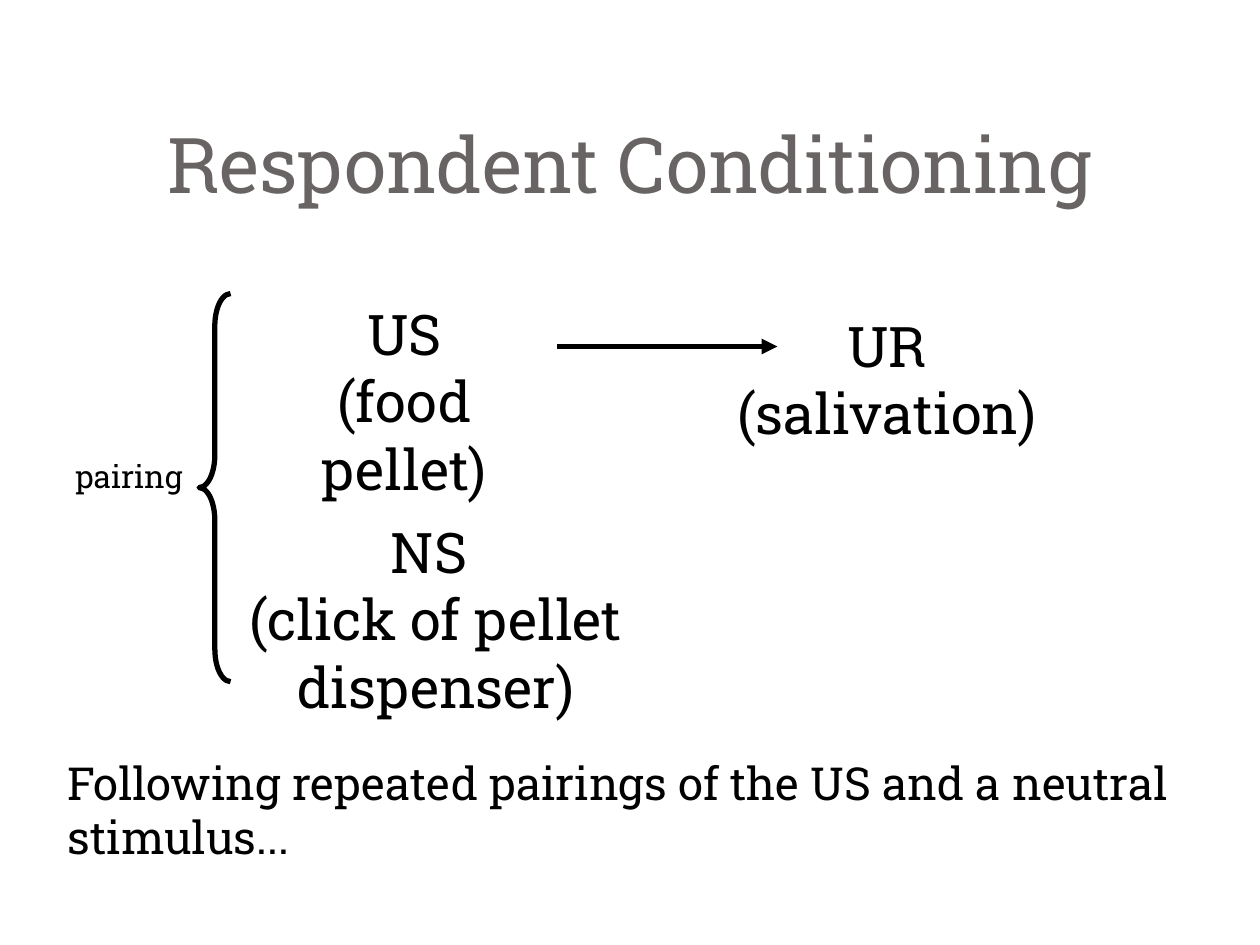
from lxml.etree import SubElement
from pptx import Presentation
from pptx.dml.color import RGBColor
from pptx.enum.shapes import MSO_CONNECTOR, MSO_SHAPE
from pptx.enum.text import MSO_ANCHOR, PP_ALIGN
from pptx.oxml.ns import qn
from pptx.util import Inches, Pt

BLACK = RGBColor(0, 0, 0)
GREY = RGBColor(0x69, 0x64, 0x64)
FONT = "Roboto Slab"


def write(frame, lines, size, color, align):
    frame.word_wrap = True
    frame.text = "\n".join(lines)
    for para in frame.paragraphs:
        para.alignment = align
        for run in para.runs:
            run.font.name = FONT
            run.font.size = Pt(size)
            run.font.color.rgb = color


deck = Presentation()
deck.slide_width, deck.slide_height = Inches(10), Inches(7.5)
slide = deck.slides.add_slide(deck.slide_layouts[5])
shapes = slide.shapes

title = shapes.title
title.left, title.top = Inches(0.75), Inches(0.67)
title.width, title.height = Inches(8.5), Inches(1.25)
title.text_frame.vertical_anchor = MSO_ANCHOR.MIDDLE
write(title.text_frame, ["Respondent Conditioning"], 44, GREY, PP_ALIGN.CENTER)

# Left, top, width, height, size, alignment, lines
labels = [
    (5.75, 2.42, 2.58, 1.18, 32, PP_ALIGN.CENTER, ["UR", "(salivation)"]),
    (1.92, 2.33, 2.58, 1.72, 32, PP_ALIGN.CENTER, ["US", "(food pellet)"]),
    (1.5, 4.06, 3.92, 1.72, 32, PP_ALIGN.CENTER,
     ["NS ", "(click of pellet dispenser)"]),
    (0.5, 3.58, 1.17, 0.5, 18, PP_ALIGN.LEFT, ["pairing"]),
    (0.44, 5.94, 9.5, 0.98, 26, PP_ALIGN.LEFT,
     ["Following repeated pairings of the US and a neutral stimulus..."]),
]
for left, top, width, height, size, align, lines in labels:
    box = shapes.add_textbox(Inches(left), Inches(top), Inches(width), Inches(height))
    write(box.text_frame, lines, size, BLACK, align)

arrow = shapes.add_connector(MSO_CONNECTOR.STRAIGHT, Inches(4.42), Inches(2.75),
                             Inches(6.17), Inches(2.75))
brace = shapes.add_shape(MSO_SHAPE.LEFT_BRACE, Inches(1.58), Inches(2.33),
                         Inches(0.25), Inches(3.08))
brace.adjustments[0] = 1.03
brace.fill.background()
brace.shadow.inherit = False
for shape in (arrow, brace):
    shape.line.color.rgb = BLACK
    shape.line.width = Pt(3)
SubElement(arrow.line._get_or_add_ln(), qn("a:tailEnd"), type="triangle")
SubElement(arrow._element.spPr, qn("a:effectLst"))

deck.save("out.pptx")
